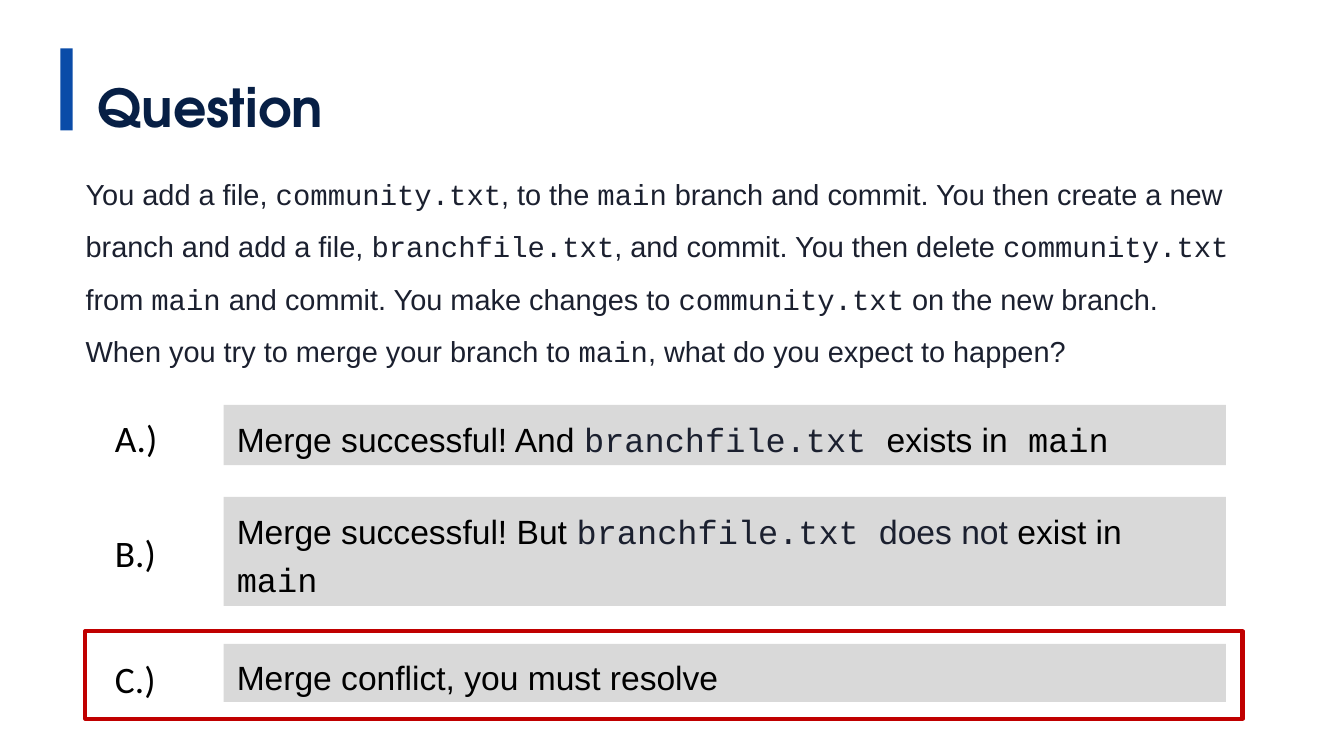
import pptx
import pptx.dml.color
import pptx.enum.shapes
import pptx.enum.text
import pptx.util

Pt = pptx.util.Pt

COLORS = {
    "accent": "0A4CA8",
    "title": "071F45",
    "ink": "1B202F",
    "black": "000000",
    "answer": "D9D9D9",
    "white": "FFFFFF",
    "correct": "C00000",
}
TITLE_FONT, TEXT_FONT, CODE_FONT, LABEL_FONT = (
    "TeX Gyre Adventor", "Arial", "Courier New", "Calibri")


def color(name):
    return pptx.dml.color.RGBColor.from_string(COLORS[name])


class QuestionSlide:
    """Holds the text style and the slide being built."""

    def __init__(self, presentation):
        self.slide = presentation.slides.add_slide(presentation.slide_layouts[6])

    def box(self, left, top, width, height, fill=None, line=None):
        shape = self.slide.shapes.add_shape(
            pptx.enum.shapes.MSO_SHAPE.RECTANGLE,
            Pt(left), Pt(top), Pt(width), Pt(height))
        shape.shadow.inherit = False
        if fill:
            shape.fill.solid()
            shape.fill.fore_color.rgb = color(fill)
        else:
            shape.fill.background()
        if line:
            shape.line.color.rgb = color(line)
            shape.line.width = Pt(2.25)
        else:
            shape.line.fill.background()
        return shape

    def text_box(self, left, top, width, height, runs, size, spacing, bold=False):
        shape = self.slide.shapes.add_textbox(
            Pt(left), Pt(top), Pt(width), Pt(height))
        self.add_runs(shape, runs, size, spacing, bold)

    def filled_text(self, left, top, width, height, fill, runs, size):
        shape = self.box(left, top, width, height, fill)
        shape.text_frame.vertical_anchor = pptx.enum.text.MSO_ANCHOR.MIDDLE
        self.add_runs(shape, runs, size, 1.2)

    def add_runs(self, shape, runs, size, spacing, bold=False):
        """Each run is (text, font, color)."""
        frame = shape.text_frame
        frame.word_wrap = True
        frame.auto_size = pptx.enum.text.MSO_AUTO_SIZE.SHAPE_TO_FIT_TEXT
        paragraph = frame.paragraphs[0]
        paragraph.alignment = pptx.enum.text.PP_ALIGN.LEFT
        paragraph.line_spacing = spacing
        for text, font, color_name in runs:
            run = paragraph.add_run()
            run.text = text
            run.font.name = font
            run.font.size = Pt(size)
            run.font.bold = bold
            run.font.color.rgb = color(color_name)


def main():
    presentation = pptx.Presentation()
    presentation.slide_width = Pt(720)
    presentation.slide_height = Pt(405)
    page = QuestionSlide(presentation)

    # Title with accent bar
    page.box(32.4, 25.9, 6.5, 43.9, fill="accent")
    page.text_box(45.4, 13, 533, 56.9, [("Question", TITLE_FONT, "title")],
                  28, 1.7, bold=True)

    # Frame around the correct answer
    page.box(45.7, 338.2, 620, 46.8, line="correct")

    # Answers: label, label top, answer top, answer height, runs
    answers = [
        ("A.)", 215.3, 217, 32.2, [
            ("Merge successful! And ", TEXT_FONT, "black"),
            ("branchfile.txt ", CODE_FONT, "ink"),
            ("exists in", TEXT_FONT, "black"),
            (" main", CODE_FONT, "black")]),
        ("B.)", 277, 266.2, 58.4, [
            ("Merge successful! But ", TEXT_FONT, "black"),
            ("branchfile.txt ", CODE_FONT, "ink"),
            ("does not ", TEXT_FONT, "ink"),
            ("exist in", TEXT_FONT, "black"),
            (" main", CODE_FONT, "black")]),
        ("C.)", 344.3, 345, 31, [
            ("Merge conflict, you must resolve", TEXT_FONT, "black")]),
    ]
    for label, label_top, top, height, runs in answers:
        page.filled_text(54.5, label_top, 65.3, 33.8, "white",
                         [(label, LABEL_FONT, "black")], 20)
        page.filled_text(119.8, top, 537, height, "answer", runs, 18)

    # Question text, alternating between prose and code
    parts = [
        "You add a file, ", "community.txt", ", to the ", "main",
        " branch and commit. You then create a new branch and add a file, ",
        "branchfile.txt", ", and commit. You then delete ", "community.txt",
        " from ", "main", " and commit. You make changes to ", "community.txt",
        " on the new branch. When you try to merge your branch to ", "main",
        ", what do you expect to happen?",
    ]
    fonts = (TEXT_FONT, CODE_FONT)
    page.text_box(38.8, 82, 627.2, 117.4,
                  [(text, fonts[index % 2], "ink")
                   for index, text in enumerate(parts)], 15.5, 1.5)

    presentation.save("out.pptx")


if __name__ == "__main__":
    main()
